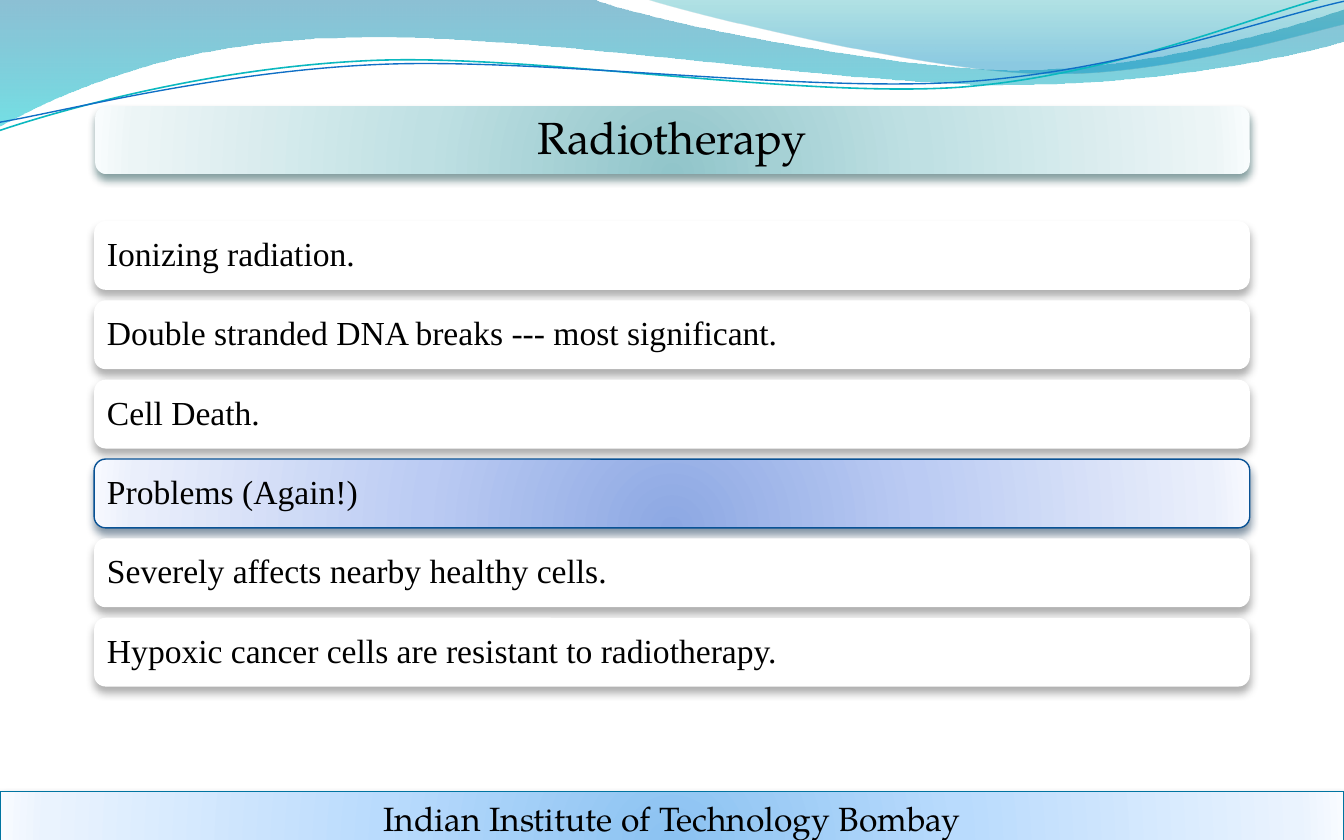
"""Build the Radiotherapy slide with wave header, key-point cards and institute band."""
from lxml import etree
from pptx import Presentation
from pptx.dml.color import RGBColor
from pptx.enum.shapes import MSO_SHAPE as Preset
from pptx.enum.text import MSO_ANCHOR as Anchor, MSO_AUTO_SIZE as AutoSize, PP_ALIGN as Align
from pptx.oxml.ns import qn
from pptx.util import Cm, Pt

BLACK = RGBColor(0x00, 0x00, 0x00)
WHITE = RGBColor(0xFF, 0xFF, 0xFF)
GREY = RGBColor(0x5A, 0x5A, 0x5A)
OCEAN = RGBColor(0x00, 0x74, 0xA1)
TURQUOISE = RGBColor(0x00, 0xC6, 0xCF)
TEAL = RGBColor(0x00, 0xA1, 0xA9)
AZURE = RGBColor(0x00, 0x8B, 0xBF)
AQUA_LINE = RGBColor(0x0A, 0xB8, 0xBF)
BLUE_LINE = RGBColor(0x0F, 0x6F, 0xC6)
NAVY_LINE = RGBColor(0x09, 0x52, 0x95)
TEAL_SHADE = RGBColor(0x02, 0x37, 0x3A)
OCEAN_SHADE = RGBColor(0x00, 0x37, 0x4C)
NAVY_SHADE = RGBColor(0x04, 0x27, 0x47)
TEAL_GLOW = [RGBColor(0x91, 0xC5, 0xCA), RGBColor(0xBF, 0xE0, 0xE3),
             RGBColor(0xEC, 0xF5, 0xF6), RGBColor(0xF8, 0xFC, 0xFD)]
SKY_GLOW = [RGBColor(0x8B, 0xC2, 0xF1), RGBColor(0xB9, 0xDB, 0xFD),
            RGBColor(0xEA, 0xF3, 0xFE), RGBColor(0xF8, 0xFB, 0xFF)]
BLUE_GLOW = [RGBColor(0x8D, 0xA8, 0xE3), RGBColor(0xBB, 0xCB, 0xF3),
             RGBColor(0xEA, 0xEF, 0xFB), RGBColor(0xF7, 0xF9, 0xFF)]
GLOW_STOPS = [0, 43, 93, 100]
SERIF = "TeX Gyre Pagella"
ROMAN = "Times New Roman"
INCH = Cm(2.54)


def fill_gradient(shape, stops, radial):
    shape.fill.gradient()
    gradient = shape._element.spPr.find(qn("a:gradFill"))
    for child in list(gradient):
        gradient.remove(child)
    stop_list = etree.SubElement(gradient, qn("a:gsLst"))
    for position, color, opacity in stops:
        stop = etree.SubElement(stop_list, qn("a:gs"), pos=str(position * 1000))
        tint = etree.SubElement(stop, qn("a:srgbClr"), val=str(color))
        if opacity < 100:
            etree.SubElement(tint, qn("a:alpha"), val=str(opacity * 1000))
    if radial:
        circle = etree.SubElement(gradient, qn("a:path"), path="circle")
        etree.SubElement(circle, qn("a:fillToRect"), l="50000", t="130000", r="50000", b="-30000")
    else:
        etree.SubElement(gradient, qn("a:lin"), ang="5400000", scaled="0")


def add_panel(preset, left, top, width, height, glow, border, shade):
    panel = slide.shapes.add_shape(preset, Cm(left), Cm(top), Cm(width), Cm(height))
    if glow:
        fill_gradient(panel, [(at, color, 100) for at, color in zip(GLOW_STOPS, glow)], True)
    else:
        panel.fill.solid()
        panel.fill.fore_color.rgb = WHITE
    if border:
        panel.line.color.rgb = border
        panel.line.width = Pt(0.75)
    else:
        panel.line.fill.background()
    panel.shadow.inherit = False
    effects = panel._element.spPr.find(qn("a:effectLst"))
    shadow = etree.SubElement(effects, qn("a:outerShdw"), blurRad=str(Pt(4.5)), dist=str(Pt(3)),
                              dir="5400000", rotWithShape="0")
    tint = etree.SubElement(shadow, qn("a:srgbClr"), val=str(shade))
    etree.SubElement(tint, qn("a:alpha"), val="48000")
    return panel


prs = Presentation()
prs.slide_width, prs.slide_height = Cm(25.4), Cm(15.88)
slide = prs.slides.add_slide(prs.slide_layouts[5])

waves = [
    ([[(0, 0)], [(4.4, -0.01)],
      [(4.76, 0.14), (6.64, 0.52), (7.58, 0.52)], [(8.53, 0.52), (9.58, 0.21), (10, 0.07)],
      [(10.01, 0.3)],
      [(9.83, 0.37), (8.7, 0.63), (7.46, 0.63)], [(6.22, 0.63), (3.82, 0.23), (2.57, 0.28)],
      [(1.29, 0.3), (0.46, 0.69), (-0.01, 0.94)], [(0, 0)]],
     [(0, OCEAN, 45), (100, TURQUOISE, 55)], None, 0),
    ([[(4.79, -0.01)],
      [(5.09, 0.09), (6.82, 0.51), (7.69, 0.54)], [(8.56, 0.58), (9.61, 0.27), (10, 0.18)],
      [(10, 0)], [(4.79, -0.01)]],
     [(0, TEAL, 30), (80, AZURE, 45)], None, 0),
    ([[(0, 0.97)],
      [(0.48, 0.81), (1.58, 0.5), (2.77, 0.45)], [(3.95, 0.4), (5.92, 0.73), (7.13, 0.65)],
      [(8.33, 0.56), (9.39, 0.09), (9.98, -0.05)]],
     None, AQUA_LINE, 0.85),
    ([[(0, 0.91)],
      [(0.47, 0.83), (1.64, 0.53), (2.83, 0.48)], [(4.03, 0.43), (5.97, 0.69), (7.17, 0.61)],
      [(8.36, 0.53), (9.41, 0.14), (10, 0.01)]],
     None, BLUE_LINE, 0.75),
]
for segments, stops, stroke, weight in waves:
    outline = [(x * INCH, y * INCH) for segment in segments for x, y in segment]
    builder = slide.shapes.build_freeform(*outline[0])
    builder.add_line_segments(outline[1:], close=bool(stops))
    wave = builder.convert_to_shape()
    straight_steps = iter(list(wave._element.iter(qn("a:lnTo"))))
    for segment in segments[1:]:
        steps = [next(straight_steps) for _ in segment]
        if len(steps) == 3:
            curve = etree.Element(qn("a:cubicBezTo"))
            steps[0].addprevious(curve)
            for step in steps:
                curve.append(step[0])
                step.getparent().remove(step)
    wave.shadow.inherit = False
    if stops:
        fill_gradient(wave, stops, False)
        wave.line.fill.background()
    else:
        wave.fill.background()
        wave.line.color.rgb = stroke
        wave.line.width = Pt(weight)

add_panel(Preset.ROUNDED_RECTANGLE, 1.8, 2.01, 21.82, 1.28, TEAL_GLOW, None, TEAL_SHADE)
title = slide.shapes.title
title.left, title.top, title.width, title.height = Cm(1.85), Cm(2.08), Cm(21.69), Cm(1.15)
slide.shapes._spTree.append(title._element)
institute = add_panel(Preset.RECTANGLE, 0, 14.96, 25.4, 1.02, SKY_GLOW, OCEAN, OCEAN_SHADE)

labels = [
    (title, "Radiotherapy", 24, SERIF, Align.CENTER, 0.9),
    (institute, "Indian Institute of Technology Bombay", 18, SERIF, Align.CENTER, 1.0),
]
points = [
    "Ionizing radiation.",
    "Double stranded DNA breaks --- most significant.",
    "Cell Death.",
    "Problems (Again!)",
    "Severely affects nearby healthy cells.",
    "Hypoxic cancer cells are resistant to radiotherapy.",
]
for row, point in enumerate(points):
    style = (BLUE_GLOW, NAVY_LINE, NAVY_SHADE) if point.startswith("Problems") else (None, None, GREY)
    card = add_panel(Preset.ROUNDED_RECTANGLE, 1.78, 4.18 + row * 1.5, 21.84, 1.3, *style)
    labels.append((card, point, 18, ROMAN, Align.LEFT, 0.9))

for holder, wording, size, typeface, alignment, spacing in labels:
    frame = holder.text_frame
    frame.text = wording
    frame.word_wrap = True
    frame.auto_size = AutoSize.NONE
    frame.vertical_anchor = Anchor.MIDDLE
    frame.margin_left = frame.margin_right = Cm(0.18)
    frame.margin_top = frame.margin_bottom = Cm(0.1)
    paragraph = frame.paragraphs[0]
    paragraph.alignment = alignment
    paragraph.line_spacing = spacing
    font = paragraph.runs[0].font
    font.name, font.size = typeface, Pt(size)
    font.color.rgb = BLACK

prs.save("out.pptx")
